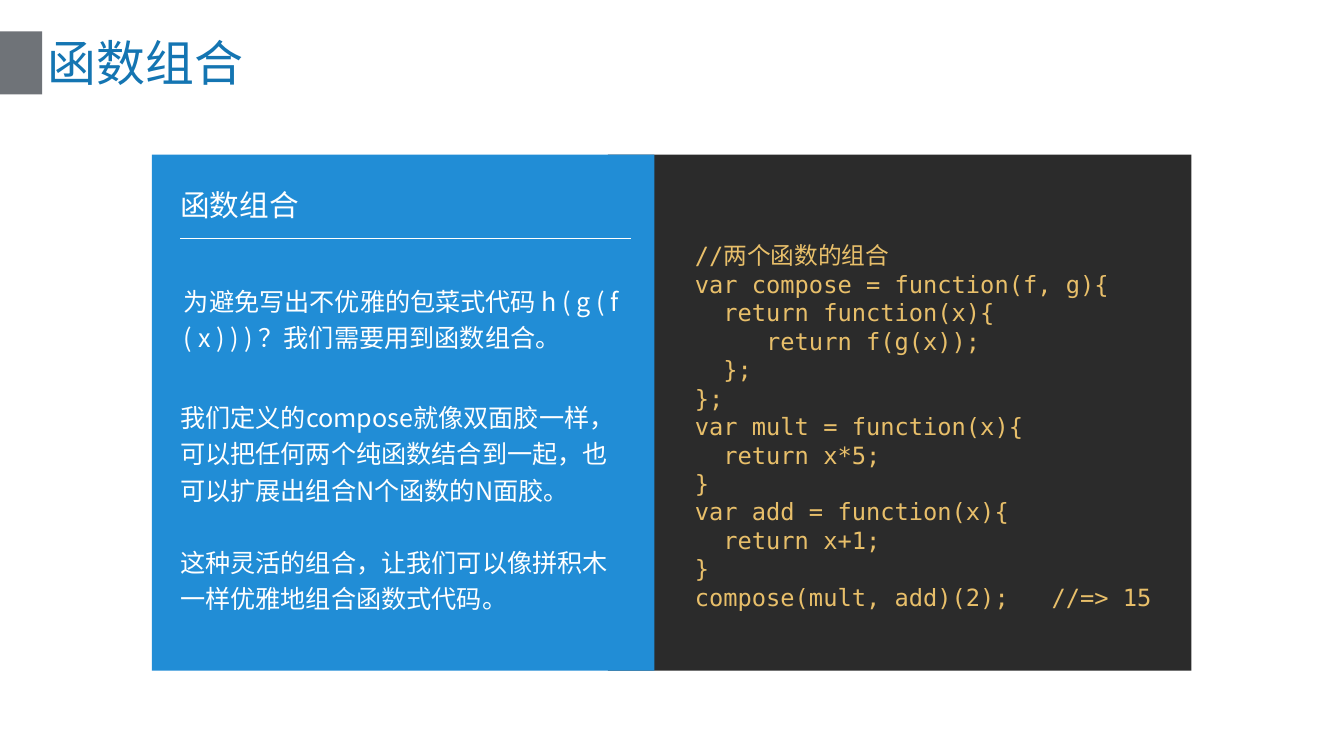
from lxml.etree import SubElement
from pptx import Presentation
from pptx.dml.color import RGBColor
from pptx.enum.shapes import MSO_CONNECTOR, MSO_SHAPE
from pptx.enum.text import MSO_ANCHOR, MSO_AUTO_SIZE, PP_ALIGN
from pptx.oxml.ns import qn
from pptx.util import Inches, Pt

TITLE = "函数组合"
INTRO = ["为避免写出不优雅的包菜式代码 h ( g ( f ( x ) ) ) ？我们需要用到函数组合。"]
NOTES = [
    "我们定义的compose就像双面胶一样，可以把任何两个纯函数结合到一起，也可以扩展出组合N个函数的N面胶。",
    "这种灵活的组合，让我们可以像拼积木一样优雅地组合函数式代码。",
]
CODE = [
    "//两个函数的组合",
    "var compose = function(f, g){",
    "  return function(x){",
    "     return f(g(x));",
    "  };",
    "};",
    "var mult = function(x){",
    "  return x*5;",
    "}",
    "var add = function(x){",
    "  return x+1;",
    "}",
    "compose(mult, add)(2);   //=> 15",
]

SANS, MONO = "Noto Sans CJK SC", "DejaVu Sans Mono"
WHITE = RGBColor(0xFF, 0xFF, 0xFF)
GRAY = RGBColor(0x6F, 0x73, 0x78)
NAVY = RGBColor(0x14, 0x75, 0xB2)
BLUE = RGBColor(0x21, 0x8D, 0xD6)
DARK = RGBColor(0x2B, 0x2B, 0x2B)
GOLD = RGBColor(0xE8, 0xBF, 0x6A)

TOP, TALL = 2.9, 9.67
BLOCKS = [
    ((0, 0.59, 0.79, 1.18), GRAY),
    ((11.4, TOP, 10.94, TALL), DARK),
    ((2.85, TOP, 9.42, TALL), BLUE),
]
TEXTS = [
    ([TITLE], (3.31, 3.43, 8.09, 0.82), 40, 1, 0),
    (INTRO, (3.38, 5.19, 8.44, 1.47), 34, 1.2, 0),
    (NOTES, (3.31, 7.36, 8.37, 4.22), 34, 1.2, 49),
]


def place(shape, box):
    shape.left, shape.top, shape.width, shape.height = map(Inches, box)


def add_block(slide, box, color):
    block = slide.shapes.add_shape(MSO_SHAPE.RECTANGLE, *map(Inches, box))
    block.shadow.inherit = False
    block.fill.solid()
    block.fill.fore_color.rgb = color
    block.line.fill.background()


def write(frame, lines, size, color, font=SANS, pitch=1, gap=0):
    frame.text = "\n".join(lines)
    frame.word_wrap = True
    for para in frame.paragraphs:
        para.alignment = PP_ALIGN.LEFT
        para.line_spacing = pitch
        for run in para.runs:
            run.font.size = Pt(size)
            run.font.name = font
            run.font.color.rgb = color
            east = SubElement(run.font._element, qn("a:ea"))
            east.set("typeface", SANS)
    for para in frame.paragraphs[1:]:
        para.space_before = Pt(gap)


def add_text(slide, box):
    frame = slide.shapes.add_textbox(*map(Inches, box)).text_frame
    frame.auto_size = MSO_AUTO_SIZE.SHAPE_TO_FIT_TEXT
    return frame


def add_rule(slide, left, right, top):
    ends = map(Inches, (left, top, right, top))
    rule = slide.shapes.add_connector(MSO_CONNECTOR.STRAIGHT, *ends)
    rule.line.color.rgb = WHITE
    rule.line.width = Pt(1)
    SubElement(rule._element.spPr, qn("a:effectLst"))


def main():
    """Build the function composition slide."""
    deck = Presentation()
    deck.slide_width, deck.slide_height = Inches(25.2), Inches(14.17)
    slide = deck.slides.add_slide(deck.slide_layouts[5])

    title = slide.shapes.title
    place(title, (0.79, 0.57, 23.62, 1.2))
    write(title.text_frame, [TITLE], 66, NAVY)
    title.text_frame.auto_size = MSO_AUTO_SIZE.NONE
    title.text_frame.vertical_anchor = MSO_ANCHOR.MIDDLE

    for box, color in BLOCKS:
        add_block(slide, box, color)
    add_rule(slide, 3.38, 11.83, 4.46)

    for lines, box, size, pitch, gap in TEXTS:
        frame = add_text(slide, box)
        frame.vertical_anchor = MSO_ANCHOR.MIDDLE
        frame.margin_left = frame.margin_right = Inches(0.07)
        frame.margin_top = frame.margin_bottom = Inches(0.07)
        write(frame, lines, size, WHITE, pitch=pitch, gap=gap)
    write(add_text(slide, (12.93, 4.47, 8.96, 7.1)), CODE, 32, GOLD, MONO)

    deck.save("out.pptx")


if __name__ == "__main__":
    main()
